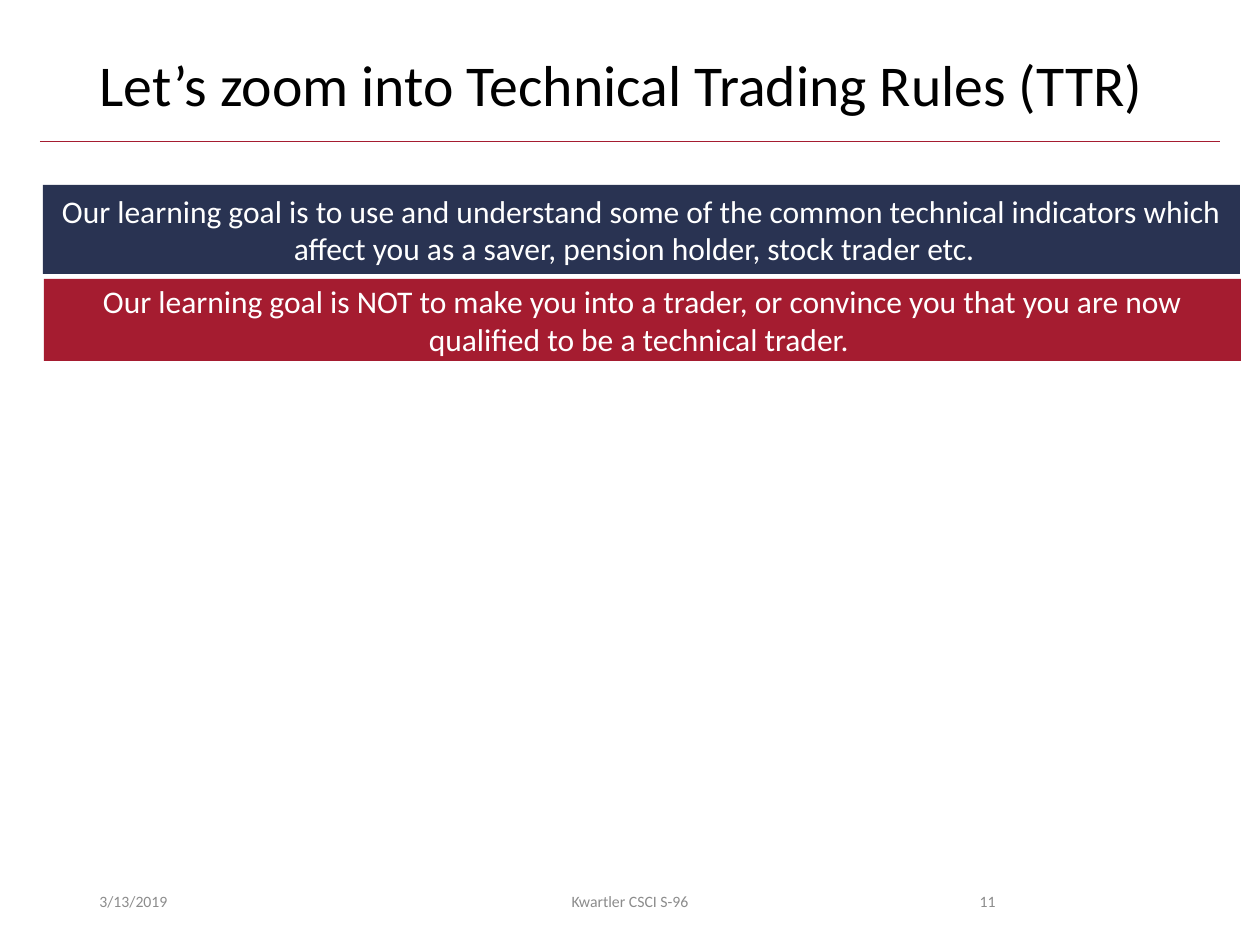
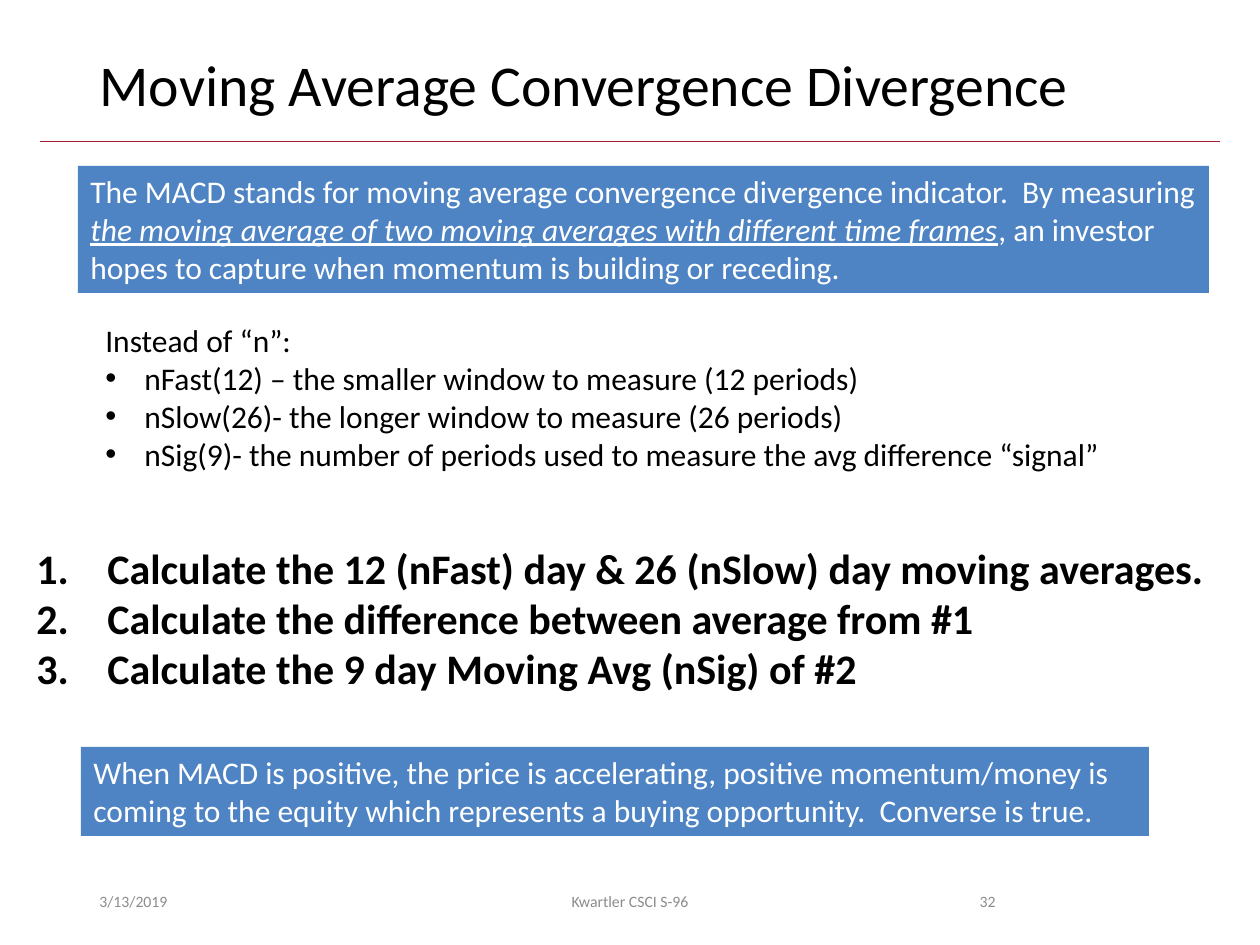
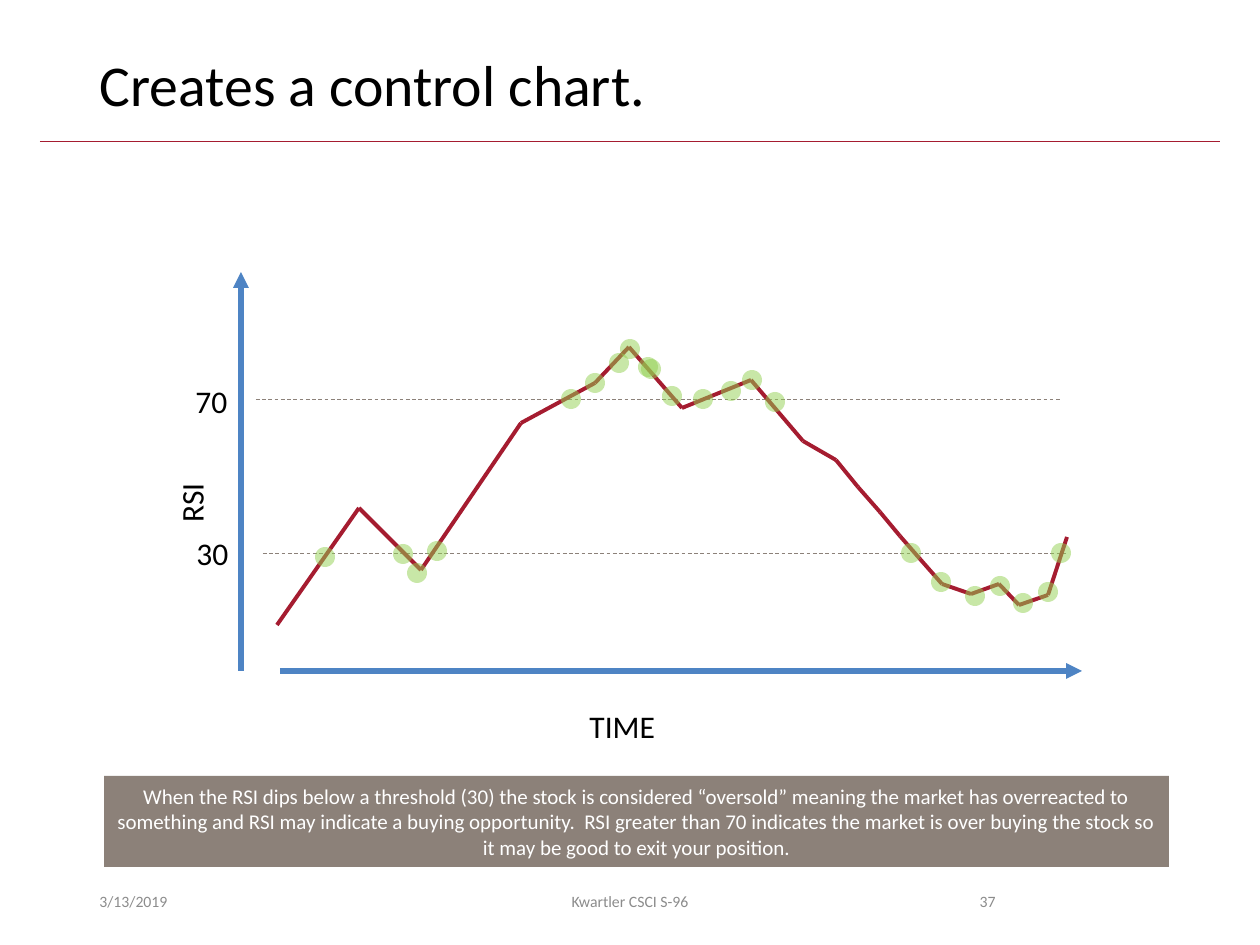
from itertools import pairwise

from pptx import Presentation
from pptx.dml.color import RGBColor
from pptx.enum.dml import MSO_LINE
from pptx.enum.shapes import MSO_CONNECTOR, MSO_SHAPE
from pptx.enum.text import MSO_ANCHOR, MSO_AUTO_SIZE, PP_ALIGN
from pptx.oxml.ns import qn
from pptx.oxml.xmlchemy import OxmlElement
from pptx.util import Pt

SCALE = 914400 / 126
FONT = "Calibri"
COLORS = {
    "black": "000000",
    "white": "FFFFFF",
    "footer": "8C8C8C",
    "crimson": "A51C30",
    "navy": "293352",
    "blue": "4E84C4",
    "taupe": "8C8179",
    "green": "92D050",
}
RSI_POINTS = [
    (277, 625), (359, 508), (421, 570), (521, 423), (595, 383),
    (629, 347), (682, 408), (751, 380), (803, 441), (836, 460),
    (858, 487), (880, 512), (900, 536), (920, 559), (942, 584),
    (971, 594), (999, 584), (1019, 605), (1048, 595), (1067, 537),
]
MARKER_SIZE = 20
MARKER_CORNERS = [
    (315, 547), (393, 544), (427, 541), (561, 389), (585, 373),
    (609, 353), (620, 339), (638, 357), (662, 386), (641, 359),
    (693, 389), (721, 381), (742, 370), (407, 563), (765, 392),
    (901, 543), (931, 572), (965, 586), (990, 576), (1013, 593),
    (1038, 582), (1051, 543),
]


def emu(*pixels):
    return [round(value * SCALE) for value in pixels]


def color(name):
    return RGBColor.from_string(COLORS[name])


def add_child(parent, tag, **attributes):
    child = OxmlElement(tag)
    for name, value in attributes.items():
        child.set(name, str(value))
    parent.append(child)


def set_bullet(para, kind, indent):
    properties = para._p.get_or_add_pPr()
    width = emu(indent)[0]
    properties.set("marL", str(width))
    properties.set("indent", str(-width))
    if kind == "number":
        add_child(properties, "a:buFont", typeface="+mj-lt")
        add_child(properties, "a:buAutoNum", type="arabicPeriod")
    else:
        add_child(properties, "a:buFont", typeface="Arial")
        add_child(properties, "a:buChar", char="•")


def write(para, text, size=18, ink="black", bold=False, emphasis=False):
    span = para.add_run()
    span.text = text
    span.font.name = FONT
    span.font.size = Pt(size)
    span.font.bold = bold
    span.font.italic = emphasis
    span.font.underline = emphasis
    span.font.color.rgb = color(ink)


def format_frame(frame, align=PP_ALIGN.LEFT, anchor=MSO_ANCHOR.TOP,
                 wrap=True, grow=False):
    frame.word_wrap = wrap
    frame.auto_size = MSO_AUTO_SIZE.SHAPE_TO_FIT_TEXT if grow else MSO_AUTO_SIZE.NONE
    frame.vertical_anchor = anchor
    frame.paragraphs[0].alignment = align
    return frame.paragraphs[0]


def add_footer(page, bounds, text, align):
    box = page.shapes.add_textbox(*emu(*bounds))
    para = format_frame(box.text_frame, align, MSO_ANCHOR.MIDDLE)
    write(para, text, size=9, ink="footer")


def add_label(page, bounds, text, rotation=0):
    box = page.shapes.add_textbox(*emu(*bounds))
    box.rotation = rotation
    write(format_frame(box.text_frame, wrap=False, grow=True), text)


def add_list(page, bounds, items, kind, indent, heading=None, **style):
    box = page.shapes.add_textbox(*emu(*bounds))
    para = format_frame(box.text_frame, wrap=False, grow=True)
    if heading:
        write(para, heading, **style)
        para = box.text_frame.add_paragraph()
    for index, item in enumerate(items):
        if index:
            para = box.text_frame.add_paragraph()
        set_bullet(para, kind, indent)
        write(para, item, **style)


def add_filled(page, preset, bounds, fill):
    shape = page.shapes.add_shape(preset, *emu(*bounds))
    shape.shadow.inherit = False
    shape.fill.solid()
    shape.fill.fore_color.rgb = color(fill)
    shape.line.fill.background()
    return shape


def add_banner(page, bounds, fill, parts, size=18, centered=True):
    banner = add_filled(page, MSO_SHAPE.RECTANGLE, bounds, fill)
    if centered:
        para = format_frame(banner.text_frame, PP_ALIGN.CENTER, MSO_ANCHOR.MIDDLE)
    else:
        para = format_frame(banner.text_frame, grow=True)
    for index, part in enumerate(parts):
        write(para, part, size=size, ink="white", emphasis=index % 2 == 1)


def add_marker(page, left, top):
    marker = add_filled(page, MSO_SHAPE.OVAL,
                        (left, top, MARKER_SIZE, MARKER_SIZE), "green")
    fill = next(marker._element.spPr.iter(qn("a:srgbClr")))
    add_child(fill, "a:alpha", val=50000)


def add_line(page, start, end, ink, width, dashed=False, arrow=False):
    line = page.shapes.add_connector(MSO_CONNECTOR.STRAIGHT, *emu(*start, *end))
    line.line.color.rgb = color(ink)
    line.line.width = Pt(width)
    if dashed:
        line.line.dash_style = MSO_LINE.DASH
    properties = line._element.spPr
    if arrow:
        add_child(properties.find(qn("a:ln")), "a:tailEnd", type="triangle")
    add_child(properties, "a:effectLst")


def add_page(deck, title, number):
    page = deck.slides.add_slide(deck.slide_layouts[5])
    add_line(page, (40, 141), (1220, 141), "crimson", 0.5)
    heading = page.shapes.title
    heading.left, heading.top, heading.width, heading.height = emu(87, 50, 1086, 82)
    para = format_frame(heading.text_frame)
    para.line_spacing = 0.9
    write(para, title, size=33)
    add_footer(page, (87, 876, 283, 50), "3/13/2019", PP_ALIGN.LEFT)
    add_footer(page, (417, 876, 426, 50), "Kwartler CSCI S-96", PP_ALIGN.CENTER)
    add_footer(page, (890, 876, 118, 50), str(number), PP_ALIGN.RIGHT)
    return page


def build_goals(deck):
    page = add_page(deck, "Let’s zoom into Technical Trading Rules (TTR)", 11)
    add_banner(page, (43, 185, 1197, 89), "navy", [
        "Our learning goal is to use and understand some of the common technical "
        "indicators which affect you as a saver, pension holder, stock trader etc.  "])
    add_banner(page, (44, 279, 1197, 82), "crimson", [
        "Our learning goal is NOT to make you into a trader, or convince you that "
        "you are now qualified to be a technical trader. "])


def build_macd(deck):
    page = add_page(deck, "Moving Average Convergence Divergence", 32)
    add_banner(page, (78, 166, 1131, 127), "blue", [
        "The MACD stands for moving average convergence divergence indicator.  "
        "By measuring ",
        "the moving average of two moving averages with different time frames",
        ", an investor hopes to capture when momentum is building or receding.  "],
        centered=False)
    add_list(page, (24, 536, 1203, 165), [
        "Calculate the 12 (nFast) day & 26 (nSlow) day moving averages.",
        "Calculate the difference between average from #1 ",
        "Calculate the 9 day Moving Avg (nSig) of #2 "],
        "number", 71, size=24, bold=True)
    add_list(page, (93, 315, 1023, 165), [
        "nFast(12) – the smaller window to measure (12 periods)",
        "nSlow(26)- the longer window to measure (26 periods)",
        "nSig(9)- the number of periods used to measure the avg difference “signal”"],
        "bullet", 39, heading="Instead of “n”:")
    add_banner(page, (81, 747, 1068, 89), "blue", [
        "When MACD is positive, the price is accelerating, positive momentum/money is "
        "coming to the equity which represents a buying opportunity.  Converse is true."],
        centered=False)


def build_control_chart(deck):
    page = add_page(deck, "Creates a control chart.", 37)
    add_line(page, (280, 671), (1082, 671), "blue", 3, arrow=True)
    add_line(page, (241, 671), (241, 272), "blue", 3, arrow=True)
    add_label(page, (577, 701, 92, 50), "TIME")
    add_label(page, (155, 474, 72, 50), "RSI ", rotation=270)
    add_line(page, (256, 399), (1060, 399), "taupe", 0.5, dashed=True)
    add_line(page, (263, 553), (1066, 553), "taupe", 0.5, dashed=True)
    add_label(page, (183, 376, 58, 50), "70")
    add_label(page, (184, 528, 58, 50), "30")
    for start, end in pairwise(RSI_POINTS):
        add_line(page, start, end, "crimson", 2.25)
    for left, top in MARKER_CORNERS:
        add_marker(page, left, top)
    add_banner(page, (104, 776, 1065, 91), "taupe", [
        "When the RSI dips below a threshold (30) the stock is considered “oversold” "
        "meaning the market has overreacted to something and RSI may indicate a buying "
        "opportunity.  RSI greater than 70 indicates the market is over buying the "
        "stock so it may be good to exit your position."], size=12)


def main():
    deck = Presentation()
    deck.slide_width, deck.slide_height = emu(1260, 945)
    build_goals(deck)
    build_macd(deck)
    build_control_chart(deck)
    deck.save("out.pptx")


main()
